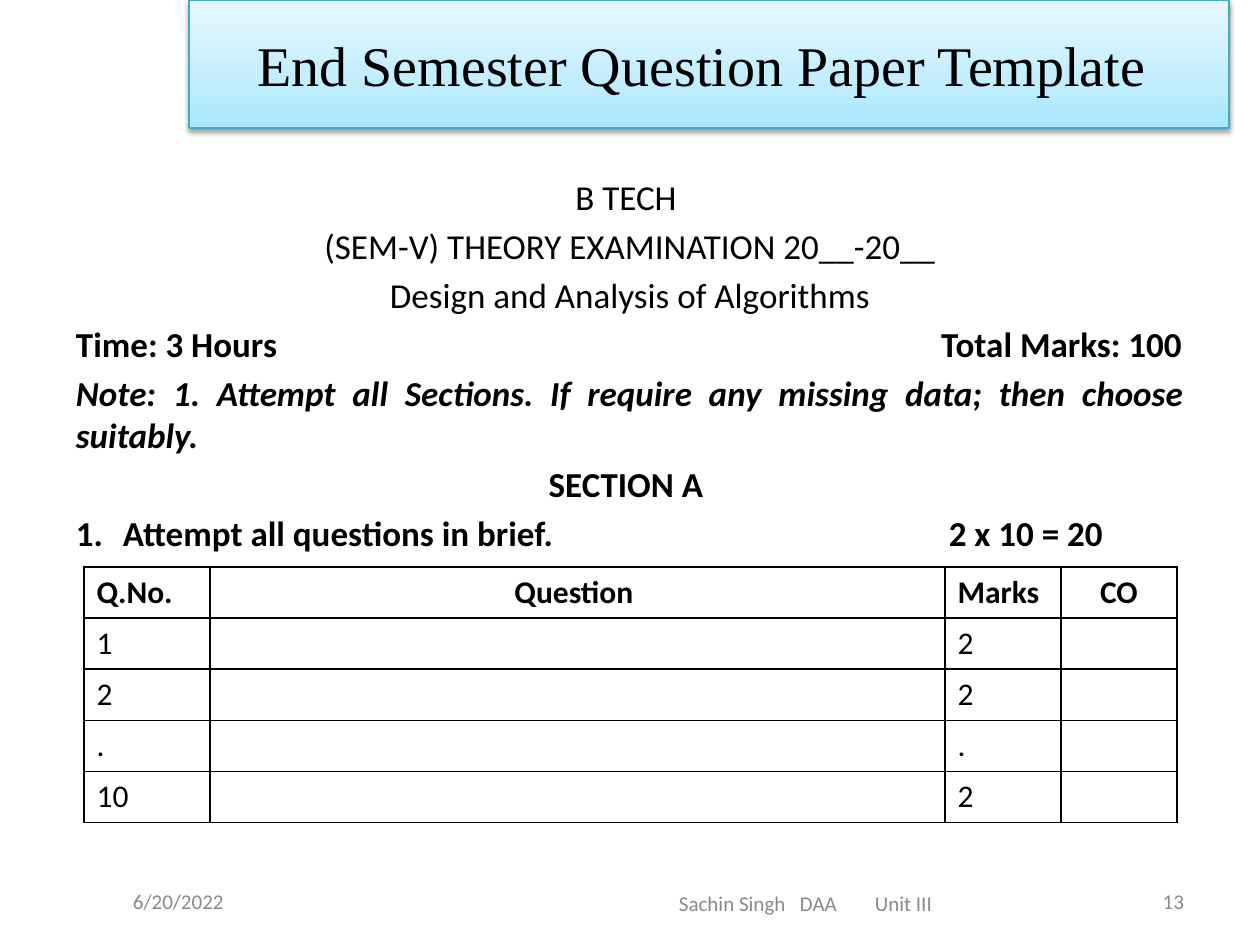
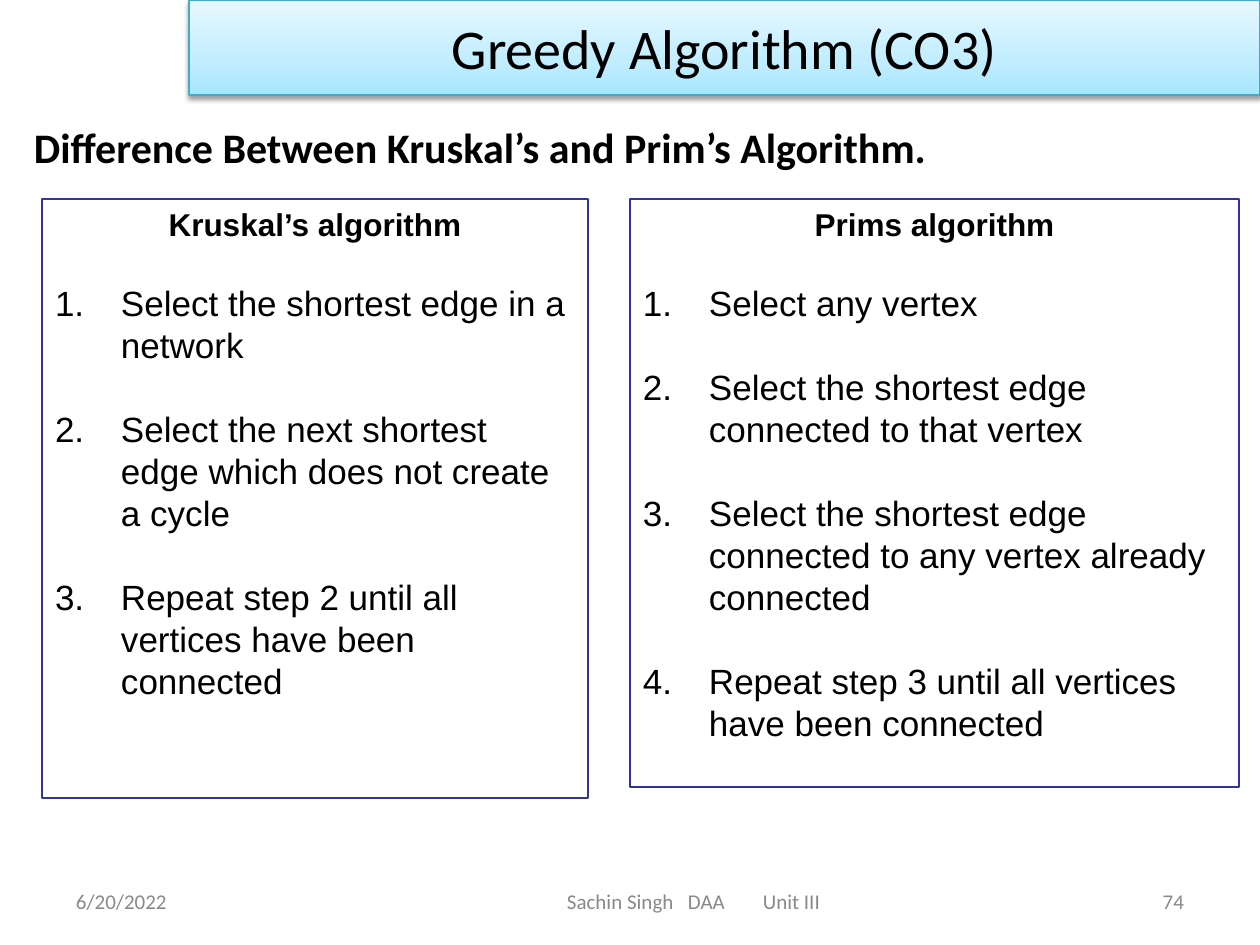
from dataclasses import dataclass

from pptx import Presentation
from pptx.dml.color import RGBColor
from pptx.enum.shapes import MSO_SHAPE as SHAPE
from pptx.enum.text import MSO_ANCHOR as ANCHOR, MSO_AUTO_SIZE as AUTOSIZE, PP_ALIGN as ALIGN
from pptx.oxml import parse_xml
from pptx.oxml.ns import nsdecls
from pptx.util import Emu, Pt

PX_PER_INCH = 126
TITLE_ONLY = 5


@dataclass(frozen=True)
class Theme:
    ink: str = "000000"
    paper: str = "FFFFFF"
    muted: str = "898989"
    band_line: str = "46AAC5"
    band_stops: tuple = ((0, "A7E6FF"), (35, "C1EDFF"), (100, "E7F8FF"))
    panel_line: str = "333399"
    sans: str = "Calibri"
    serif: str = "Times New Roman"
    panel_font: str = "Arial"
    title_size: int = 32
    heading_size: int = 24
    body_size: int = 20
    small_size: int = 18
    footer_size: int = 12


THEME = Theme()


def px(length):
    return Emu(round(length * 914400 / PX_PER_INCH))


def set_values(target, values):
    for name, value in values.items():
        setattr(target, name, value)


def add_xml(parent, xml):
    """Append a drawing element given without its namespace declaration."""
    tag, rest = xml[1:].split(" ", 1)
    parent.append(parse_xml(f"<{tag} {nsdecls('a')} {rest}"))


class Deck:
    """Holds the theme and the current slide; lengths are in px."""

    def __init__(self, theme):
        self.theme = theme
        self.prs = Presentation()
        set_values(self.prs, {"slide_width": px(1260), "slide_height": px(945)})
        self.slide = None

    def new_slide(self):
        self.slide = self.prs.slides.add_slide(self.prs.slide_layouts[TITLE_ONLY])

    def set_line(self, paragraph, text, size, font=None, bold=False, italic=False,
                 color=None, align=ALIGN.LEFT, before=0, spacing=None,
                 hang=0, numbered=False, tabs=()):
        props = paragraph._p.get_or_add_pPr()
        if hang:
            props.set("marL", str(px(hang)))
            props.set("indent", str(-px(hang)))
        if numbered:
            add_xml(props, '<a:buFont typeface="+mj-lt"/>')
            add_xml(props, '<a:buAutoNum type="arabicPeriod"/>')
        if tabs:
            stops = "".join(f'<a:tab pos="{px(at)}" algn="{side}"/>' for at, side in tabs)
            add_xml(props, f'<a:tabLst >{stops}</a:tabLst>')
        set_values(paragraph, {"alignment": align, "space_before": Pt(before)})
        if spacing:
            paragraph.line_spacing = Pt(spacing)
        run = paragraph.add_run()
        run.text = text
        set_values(run.font, {"name": font or self.theme.sans, "size": Pt(size),
                              "bold": bold, "italic": italic})
        run.font.color.rgb = RGBColor.from_string(color or self.theme.ink)

    def fill_frame(self, frame, lines, anchor=ANCHOR.TOP, inset=(13, 6), **style):
        """Put lines, each a text and its own format values, into a frame."""
        across, down = map(px, inset)
        set_values(frame, {"word_wrap": True, "auto_size": AUTOSIZE.NONE,
                           "vertical_anchor": anchor, "margin_left": across,
                           "margin_right": across, "margin_top": down, "margin_bottom": down})
        for index, (text, own) in enumerate(lines):
            paragraph = frame.add_paragraph() if index else frame.paragraphs[0]
            values = {**style, **own}
            if not index:
                values["before"] = 0
            self.set_line(paragraph, text, **values)

    def text(self, box, lines, **style):
        area = self.slide.shapes.add_textbox(*map(px, box))
        self.fill_frame(area.text_frame, lines, **style)

    def title(self, text, width, height, font):
        band = self.slide.shapes.title
        set_values(band, dict(zip(("left", "top", "width", "height"),
                                  map(px, (189, 0, width, height)))))
        stops = "".join(f'<a:gs pos="{at * 1000}"><a:srgbClr val="{color}"/></a:gs>'
                        for at, color in self.theme.band_stops)
        sp_pr = band._element.spPr
        add_xml(sp_pr, f'<a:gradFill rotWithShape="1"><a:gsLst>{stops}</a:gsLst>'
                       '<a:lin ang="16200000" scaled="0"/></a:gradFill>')
        band.line.color.rgb = RGBColor.from_string(self.theme.band_line)
        band.line.width = Pt(0.75)
        add_xml(sp_pr, f'<a:effectLst ><a:outerShdw blurRad="{Pt(3.1)}" dist="{Pt(1.6)}" '
                       'dir="5400000" rotWithShape="0"><a:srgbClr val="000000">'
                       '<a:alpha val="38000"/></a:srgbClr></a:outerShdw></a:effectLst>')
        self.fill_frame(band.text_frame, [(text, {})], anchor=ANCHOR.MIDDLE,
                        size=self.theme.title_size, font=font, align=ALIGN.CENTER)

    def footer(self, number, date_left, course_left, course_top=876):
        style = {"size": self.theme.footer_size, "color": self.theme.muted,
                 "anchor": ANCHOR.MIDDLE}
        self.text((date_left, 876, 189, 50), [("6/20/2022", {})], **style)
        self.text((course_left, course_top, 300, 50),
                  [("Sachin Singh\tDAA\tUnit III", {})],
                  tabs=((121, "l"), (196, "l")), **style)
        self.text((903, 876, 294, 50), [(number, {})], align=ALIGN.RIGHT, **style)

    def table(self, left, top, widths, row_height, rows, centred):
        frame = self.slide.shapes.add_table(
            len(rows), len(widths), *map(px, (left, top, sum(widths), row_height * len(rows))))
        grid = frame.table
        set_values(grid, {"first_row": False, "horz_banding": False})
        for column, width in zip(grid.columns, widths):
            column.width = px(width)
        for r, values in enumerate(rows):
            grid.rows[r].height = px(row_height)
            for c, value in enumerate(values):
                cell = grid.cell(r, c)
                for side in ("lnL", "lnR", "lnT", "lnB"):
                    add_xml(cell._tc.get_or_add_tcPr(),
                            f'<a:{side} w="{Pt(1)}"><a:solidFill><a:srgbClr '
                            f'val="{self.theme.ink}"/></a:solidFill></a:{side}>')
                cell.fill.solid()
                cell.fill.fore_color.rgb = RGBColor.from_string(self.theme.paper)
                if value:
                    self.set_line(cell.text_frame.paragraphs[0], value, self.theme.small_size,
                                  bold=r == 0,
                                  align=ALIGN.CENTER if c in centred else ALIGN.LEFT)

    def panel(self, box, heading, steps):
        """An outlined box with a centred heading and numbered steps."""
        outline = self.slide.shapes.add_shape(SHAPE.RECTANGLE, *map(px, box))
        outline.shadow.inherit = False
        outline.fill.background()
        outline.line.color.rgb = RGBColor.from_string(self.theme.panel_line)
        outline.line.width = Pt(1.5)
        lines = [(heading, {"size": self.theme.small_size, "bold": True,
                            "align": ALIGN.CENTER, "spacing": 22})]
        for index, step in enumerate(steps):
            lines.append((step, {"size": self.theme.body_size, "hang": 66, "numbered": True,
                                 "spacing": 24, "before": 24 if index else 22}))
        self.fill_frame(outline.text_frame, lines, inset=(13, 5), font=self.theme.panel_font)


def question_paper(deck):
    deck.new_slide()
    deck.title("End Semester Question Paper Template ", 1040, 128, deck.theme.serif)

    # Exam heading and instructions
    centred = {"align": ALIGN.CENTER}
    bold = {"bold": True}
    deck.text((63, 169, 1134, 400), [
        ("B TECH ", centred),
        ("(SEM-V) THEORY EXAMINATION 20__-20__", centred),
        ("Design and Analysis of Algorithms", centred),
        ("Time: 3 Hours\tTotal Marks: 100", {**bold, "tabs": ((1106, "r"),)}),
        ("Note: 1. Attempt all Sections. If require any missing data; then choose suitably.",
         {**bold, "italic": True, "align": ALIGN.JUSTIFY}),
        ("SECTION A ", {**bold, **centred}),
        ("Attempt all questions in brief.\t2 x 10 = 20",
         {**bold, "hang": 47, "numbered": True, "tabs": ((1027, "r"),)}),
    ], size=deck.theme.body_size, before=4)

    # Question grid
    marks = (("1", "2"), ("2", "2"), (".", "."), ("10", "2"))
    rows = [("Q.No.", "Question ", "Marks", "CO")]
    rows += [(number, "", mark, "") for number, mark in marks]
    deck.table(84, 567, (126, 735, 116, 116), 51, rows, centred=(1, 3))
    deck.footer("13", date_left=120, course_left=666, course_top=878)


def greedy_comparison(deck):
    deck.new_slide()
    deck.title("Greedy Algorithm (CO3)", 1071, 95, deck.theme.sans)
    deck.text((21, 116, 1197, 65),
              [("Difference Between Kruskal’s and Prim’s Algorithm.", {})],
              size=deck.theme.heading_size, bold=True)

    # The two algorithms side by side
    deck.panel((42, 199, 546, 599), "Kruskal’s algorithm", (
        "Select the shortest edge in a network",
        "Select the next shortest edge which does not create a cycle",
        "Repeat step 2 until all vertices have been connected",
    ))
    deck.panel((630, 199, 609, 588), "Prims algorithm", (
        "Select any vertex",
        "Select the shortest edge connected to that vertex",
        "Select the shortest edge connected to any vertex already connected",
        "Repeat step 3 until all vertices have been connected",
    ))
    deck.footer("74", date_left=63, course_left=554)


def main():
    deck = Deck(THEME)
    question_paper(deck)
    greedy_comparison(deck)
    deck.prs.save("out.pptx")


if __name__ == "__main__":
    main()
